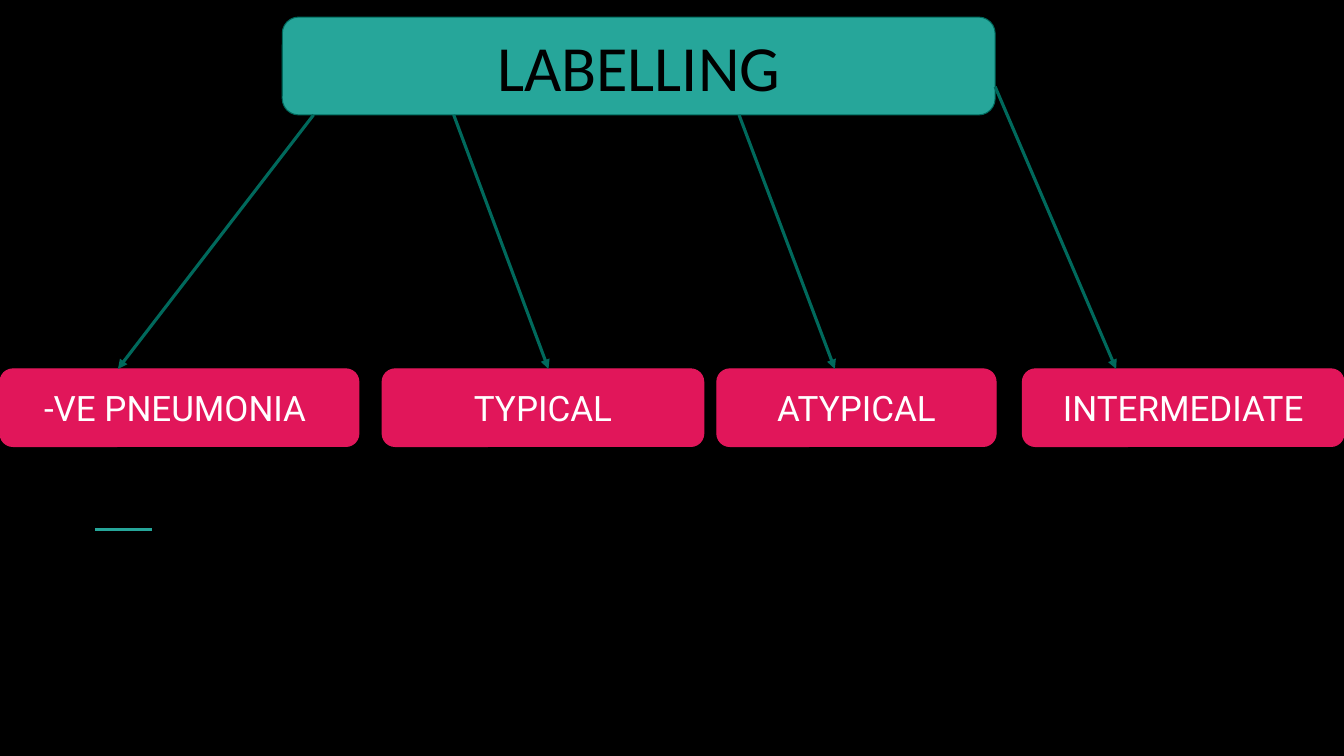
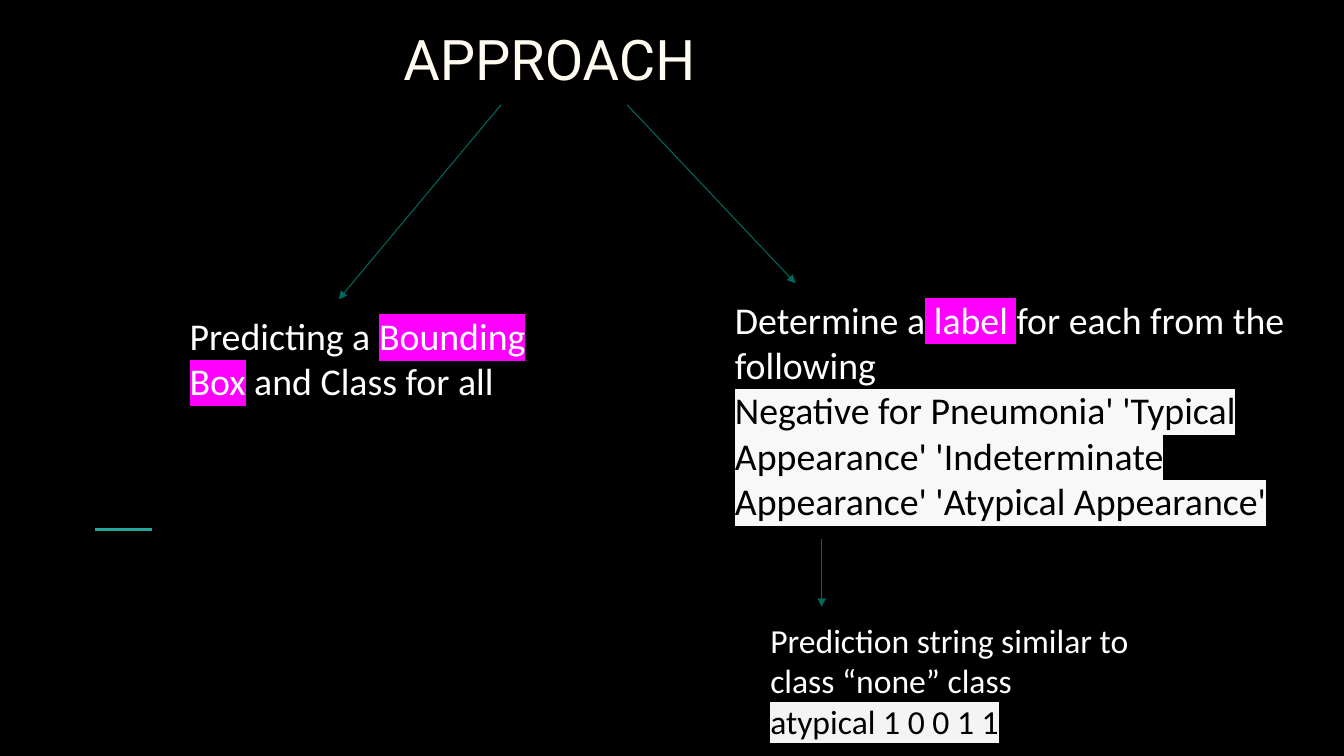
from lxml import etree
from pptx import Presentation, util as u
from pptx.dml.color import RGBColor
from pptx.enum import shapes, text
from pptx.oxml.ns import qn


class Theme:
    back = "000000"
    teal = "26A69A"
    dark = "00695C"
    pink = "E1165A"
    white = "FFFFFF"
    cream = "FFFBF0"
    mark = "FF00FF"
    pale = "F8F8F8"
    grey = "F4F4F4"
    head = "Roboto"
    body = "Calibri"
    banner, title, large, label, small = 46, 40, 27, 25, 24
    thick, thin = 2.25, 0.75
    pad = 0.13


def link(slide, ends, color, width, arrow=True):
    line = slide.shapes.add_connector(
        shapes.MSO_CONNECTOR.STRAIGHT, *[u.Inches(v) for v in ends])
    line.line.color.rgb = RGBColor.from_string(color)
    line.line.width = u.Pt(width)
    props = line._element.spPr
    if arrow:
        etree.SubElement(props.find(qn("a:ln")), qn("a:tailEnd"), type="triangle")
    etree.SubElement(props, qn("a:effectLst"))


def write(shape, paras, font, size, anchor, align, pad=Theme.pad):
    frame = shape.text_frame
    frame.word_wrap = True
    frame.vertical_anchor = anchor
    frame.margin_left = frame.margin_right = u.Inches(pad)
    frame.margin_top = frame.margin_bottom = u.Inches(pad)
    for i, runs in enumerate(paras):
        para = frame.add_paragraph() if i else frame.paragraphs[0]
        para.alignment = align
        for words, color, mark in runs:
            run = para.add_run()
            run.text = words
            run.font.name = font
            run.font.size = u.Pt(size)
            run.font.color.rgb = RGBColor.from_string(color)
            if mark:
                light = etree.Element(qn("a:highlight"))
                etree.SubElement(light, qn("a:srgbClr"), val=mark)
                run.font._element.find(qn("a:solidFill")).addnext(light)


TOP, MID, LOW = text.MSO_ANCHOR.TOP, text.MSO_ANCHOR.MIDDLE, text.MSO_ANCHOR.BOTTOM
LEFT, CENTER = text.PP_ALIGN.LEFT, text.PP_ALIGN.CENTER

deck = Presentation()
deck.slide_width, deck.slide_height = u.Inches(13.33), u.Inches(7.5)
pages = []
for _ in range(2):
    page = deck.slides.add_slide(deck.slide_layouts[6])
    page.background.fill.solid()
    page.background.fill.fore_color.rgb = RGBColor.from_string(Theme.back)
    link(page, (0.94, 5.25, 1.51, 5.25), Theme.teal, Theme.thick, False)
    pages.append(page)
labels, plan = pages

row = 3.66
base = 0.17 + 0.97
boxes = [
    ("LABELLING", 2.8, 0.17, 7.07, 0.97, Theme.teal, Theme.dark,
     Theme.body, Theme.banner, Theme.back, 0.1),
]
for words, left, width in [
    ("-VE PNEUMONIA ", 0, 3.56),
    ("TYPICAL", 3.79, 3.19),
    ("ATYPICAL", 7.11, 2.77),
    ("INTERMEDIATE", 10.14, 3.19),
]:
    boxes.append((words, left, row, width, 0.77, Theme.pink, Theme.pink,
                  Theme.head, Theme.label, Theme.white, Theme.pad))

for words, left, top, width, height, fill, edge, font, size, color, pad in boxes:
    box = labels.shapes.add_shape(
        shapes.MSO_SHAPE.ROUNDED_RECTANGLE,
        u.Inches(left), u.Inches(top), u.Inches(width), u.Inches(height))
    box.shadow.inherit = False
    box.fill.solid()
    box.fill.fore_color.rgb = RGBColor.from_string(fill)
    box.line.color.rgb = RGBColor.from_string(edge)
    box.line.width = u.Pt(Theme.thin)
    write(box, [[(words, color, None)]], font, size, MID, CENTER, pad)

for start, top, end in [
    (3.11, base, 1.17),
    (4.5, base, 5.44),
    (7.33, base, 8.28),
    (9.87, 0.86, 11.07),
]:
    link(labels, (start, top, end, row), Theme.dark, Theme.thick)

title = [[("APPROACH", Theme.cream, None)]]
bounds = [[
    ("Predicting a ", Theme.white, None),
    ("Bounding Box", Theme.white, Theme.mark),
    (" and Class for all", Theme.white, None),
]]
classes = [
    [("Determine a", Theme.white, None),
     (" label ", Theme.white, Theme.mark),
     ("for each from the following", Theme.white, None)],
    [("Negative for Pneumonia' 'Typical Appearance' 'Indeterminate "
      "Appearance' 'Atypical Appearance'", Theme.back, Theme.pale)],
]
result = [
    [("Prediction string similar to class “none” class", Theme.white, None)],
    [("atypical 1 0 0 1 1", Theme.back, Theme.grey)],
]
for paras, left, top, width, height, font, size, anchor in [
    (title, 3.87, 0.34, 4.02, 0.7, Theme.head, Theme.title, LOW),
    (bounds, 1.75, 2.97, 3.75, 1.18, Theme.body, Theme.large, TOP),
    (classes, 7.16, 2.81, 6.03, 2.54, Theme.body, Theme.large, TOP),
    (result, 7.51, 6.02, 4.02, 1.48, Theme.body, Theme.small, TOP),
]:
    note = plan.shapes.add_textbox(
        u.Inches(left), u.Inches(top), u.Inches(width), u.Inches(height))
    write(note, paras, font, size, anchor, LEFT)

for ends in [
    (4.97, 1.04, 3.36, 2.97),
    (6.22, 1.04, 7.89, 2.81),
    (8.15, 5.35, 8.15, 6.02),
]:
    link(plan, ends, Theme.dark, Theme.thin)

deck.save("out.pptx")
